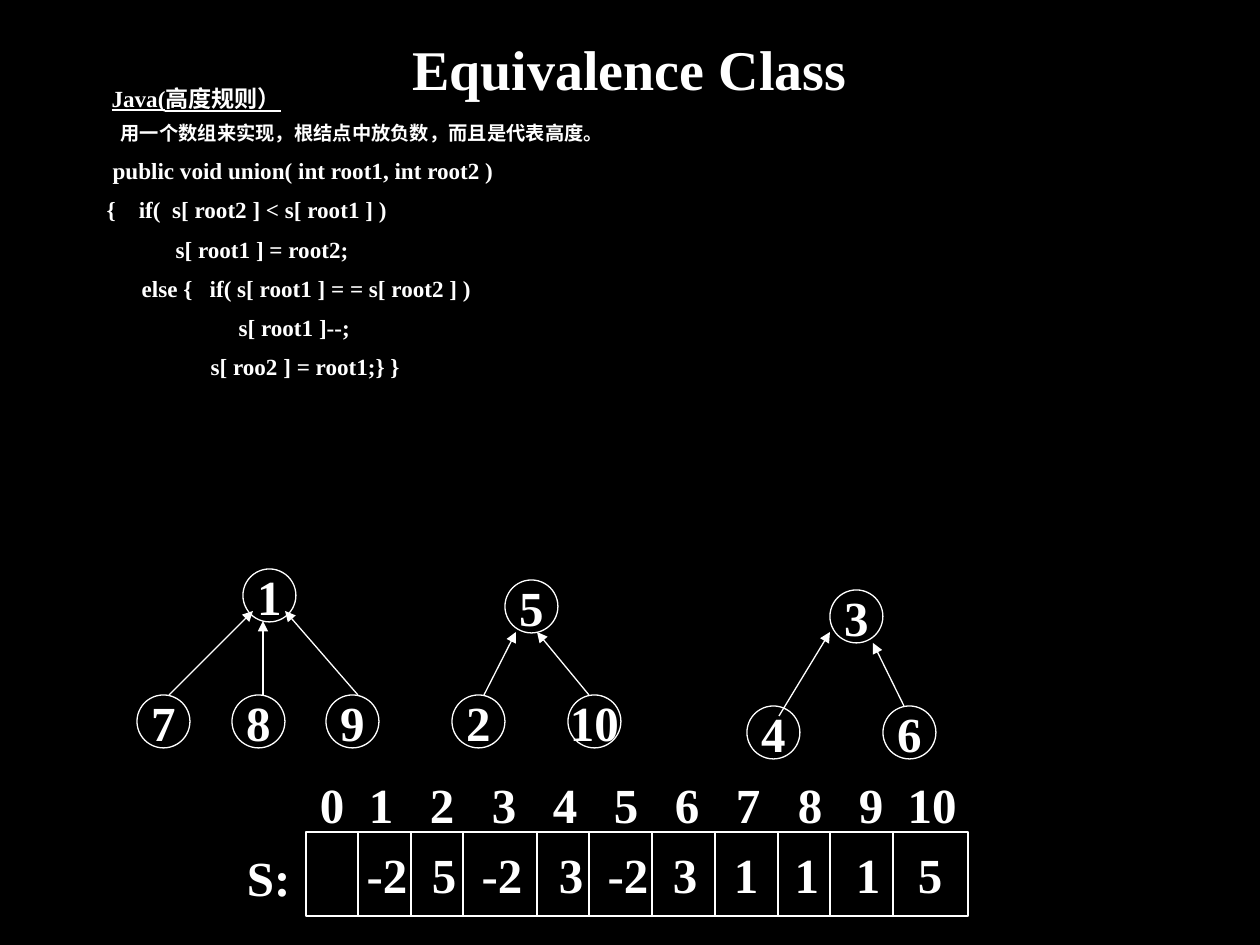
import pptx
import pptx.util
import pptx.dml.color
import pptx.enum.shapes
import pptx.enum.text
import pptx.oxml

PX = 914400 // 126
WHITE = pptx.dml.color.RGBColor(255, 255, 255)
BLACK = pptx.dml.color.RGBColor(0, 0, 0)
FONT = "Times New Roman"
MIDDLE = pptx.enum.text.MSO_ANCHOR.MIDDLE
TOP = pptx.enum.text.MSO_ANCHOR.TOP
LEFT = pptx.enum.text.PP_ALIGN.LEFT
CENTER = pptx.enum.text.PP_ALIGN.CENTER

# Content
TITLE = "Equivalence Class"
# (indent, size in points, underlined, text)
LINES = [
    (5, 13.2, True, "Java(高度规则）"),
    (14, 11, False, "用一个数组来实现，根结点中放负数，而且是代表高度。"),
    (6, 13.2, False, "public void union( int root1, int root2 )"),
    (0, 13.2, False, "{    if(  s[ root2 ] < s[ root1 ] )"),
    (69, 13.2, False, "s[ root1 ] = root2;"),
    (35, 13.2, False, "else {   if( s[ root1 ] = = s[ root2 ] )"),
    (132, 13.2, False, "s[ root1 ]--;"),
    (104, 13.2, False, "s[ roo2 ] = root1;} }"),
]
NODE = 53
# label: left, top
NODES = {
    "1": (243, 569), "7": (137, 695), "8": (232, 695), "9": (326, 695),
    "5": (505, 580), "2": (452, 695), "10": (568, 695),
    "3": (830, 590), "4": (747, 706), "6": (883, 706),
}
# child to parent: x1, y1, x2, y2
EDGES = [
    (169, 695, 253, 611), (263, 695, 263, 621), (358, 695, 285, 611),
    (484, 695, 516, 632), (589, 695, 537, 632),
    (779, 716, 830, 632), (904, 706, 873, 643),
]
ARRAY = (306, 832, 662, 84)
DIVIDERS = [358, 411, 463, 537, 589, 652, 715, 778, 830, 893]
VALUES = [-2, 5, -2, 3, -2, 3, 1, 1, 1, 5]
VALUE_CENTERS = [387, 444, 502, 571, 628, 685, 746, 807, 868, 930]
INDEXES = list(range(11))
INDEX_CENTERS = [332] + [320 + round(61.2 * i) for i in INDEXES[1:]]


def px(*lengths):
    return [length * PX for length in lengths]


def place(shape, *box):
    shape.left, shape.top, shape.width, shape.height = px(*box)


def format_paragraph(paragraph, size, align=LEFT):
    paragraph.alignment = align
    font = paragraph.font
    font.name, font.size, font.bold = FONT, pptx.util.Pt(size), True
    font.color.rgb = WHITE


def write(shape, text, anchor=MIDDLE, align=LEFT):
    frame = shape.text_frame
    frame.word_wrap = True
    frame.vertical_anchor = anchor
    frame.margin_left = frame.margin_right = 0
    frame.margin_top = frame.margin_bottom = 0
    frame.text = text
    format_paragraph(frame.paragraphs[0], 28, align)


def write_columns(shape, items, centers):
    """Write the items in one line, each on a centred tab stop."""
    write(shape, "".join(f"\t{item}" for item in items))
    properties = shape.text_frame.paragraphs[0]._p.get_or_add_pPr()
    tabs = pptx.oxml.parse_xml(
        '<a:tabLst xmlns:a="http://schemas.openxmlformats.org/drawingml/2006/main"/>')
    for center in centers:
        tab = tabs.makeelement(pptx.oxml.ns.qn("a:tab"),
                               {"pos": str(center * PX - shape.left), "algn": "ctr"})
        tabs.append(tab)
    properties.insert(0, tabs)


def add_outline(slide, kind, *box):
    shape = slide.shapes.add_shape(kind, *px(*box))
    shape.shadow.inherit = False
    shape.fill.background()
    shape.line.color.rgb = WHITE
    shape.line.width = pptx.util.Pt(0.75)
    return shape


def add_line(slide, *ends, arrow=False):
    line = slide.shapes.add_connector(
        pptx.enum.shapes.MSO_CONNECTOR.STRAIGHT, *px(*ends))
    line.line.color.rgb = WHITE
    line.line.width = pptx.util.Pt(0.75)
    properties = line._element.spPr
    if arrow:
        outline = line.line._get_or_add_ln()
        outline.append(outline.makeelement(
            pptx.oxml.ns.qn("a:tailEnd"), {"type": "triangle"}))
    properties.append(properties.makeelement(pptx.oxml.ns.qn("a:effectLst"), {}))


def main():
    deck = pptx.Presentation()
    deck.slide_width, deck.slide_height = px(1260, 945)
    slide = deck.slides.add_slide(deck.slide_layouts[1])
    slide.background.fill.solid()
    slide.background.fill.fore_color.rgb = BLACK
    title, body = slide.placeholders

    # Title
    place(title, 94, 32, 1071, 73)
    title.text_frame.text = TITLE
    title.text_frame.vertical_anchor = MIDDLE
    format_paragraph(title.text_frame.paragraphs[0], 32, CENTER)

    # Code listing
    place(body, 94, 78, 1071, 483)
    frame = body.text_frame
    frame.auto_size = pptx.enum.text.MSO_AUTO_SIZE.NONE
    frame.vertical_anchor = TOP
    frame.text = "\n".join(text for *_, text in LINES)
    for paragraph, (indent, size, underlined, _) in zip(frame.paragraphs, LINES):
        properties = paragraph._p.get_or_add_pPr()
        properties.set("marL", str(indent * PX))
        properties.set("indent", "0")
        properties.append(properties.makeelement(pptx.oxml.ns.qn("a:buNone"), {}))
        format_paragraph(paragraph, size)
        paragraph.font.underline = underlined
        paragraph.space_before = pptx.util.Pt(size / 2)

    # Array with its indexes
    array = add_outline(slide, pptx.enum.shapes.MSO_SHAPE.RECTANGLE, *ARRAY)
    write_columns(array, VALUES, VALUE_CENTERS)
    _, top, _, height = ARRAY
    for x in DIVIDERS:
        add_line(slide, x, top, x, top + height)
    array_name = slide.shapes.add_textbox(*px(247, 848, 59, 60))
    write(array_name, "S:", TOP)
    index_row = slide.shapes.add_textbox(*px(295, 775, 703, 60))
    write_columns(index_row, INDEXES, INDEX_CENTERS)
    index_row.text_frame.vertical_anchor = TOP

    # Trees
    for label, (left, node_top) in NODES.items():
        node = add_outline(slide, pptx.enum.shapes.MSO_SHAPE.OVAL,
                           left, node_top, NODE, NODE)
        write(node, label, align=CENTER)
        node.text_frame.word_wrap = False
    for edge in EDGES:
        add_line(slide, *edge, arrow=True)

    deck.save("out.pptx")


if __name__ == "__main__":
    main()
